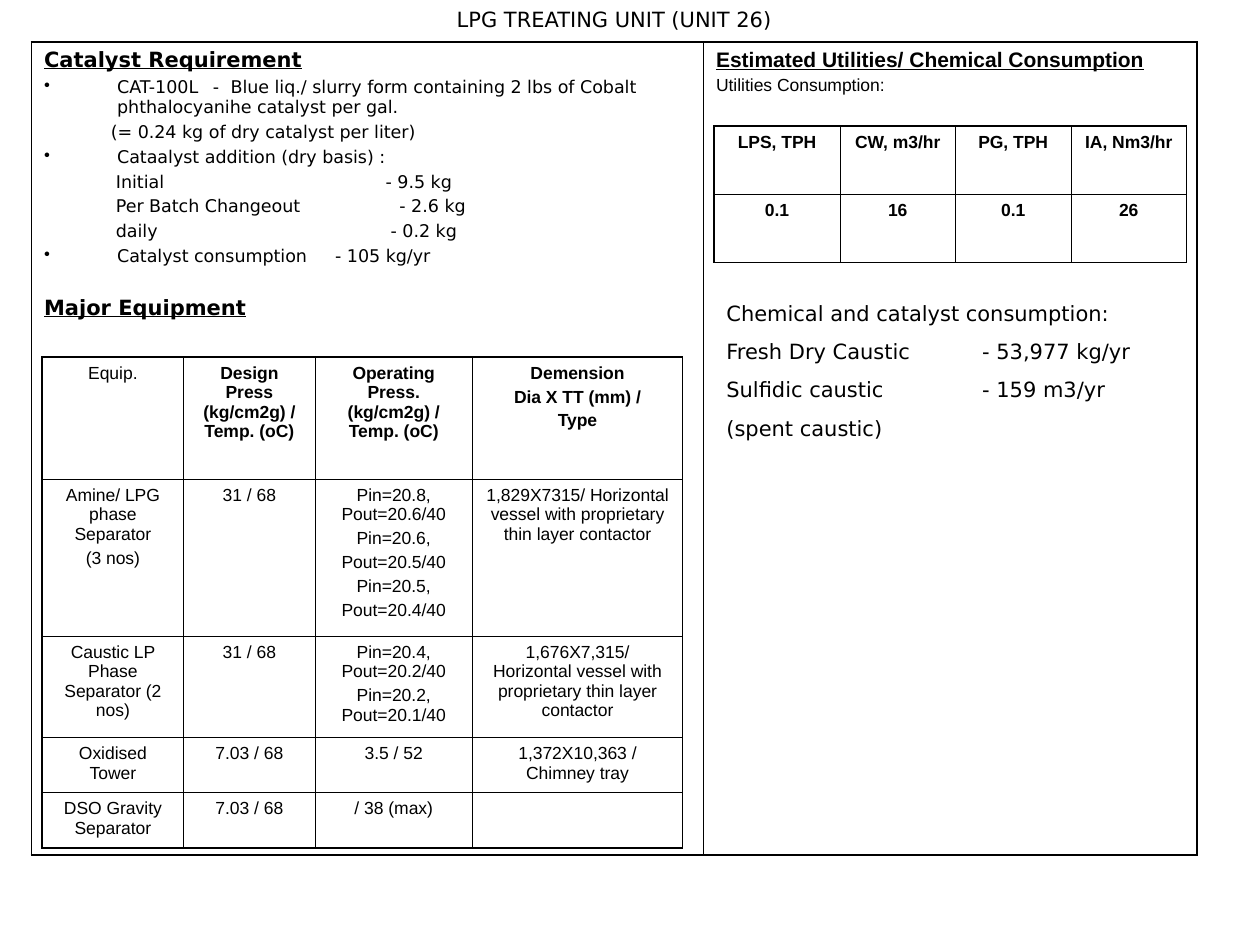
from lxml.etree import SubElement
from pptx import Presentation
from pptx.dml.color import RGBColor
from pptx.enum.text import MSO_ANCHOR, MSO_AUTO_SIZE, PP_ALIGN
from pptx.oxml.ns import qn
from pptx.util import Inches, Pt

COLORS = {"ink": "000000"}
SANS, ARIAL = "DejaVu Sans", "Arial"
THIN, THICK = 0.45, 1.08
HANG = 0.58  # hanging indent of the bullets, inches
HEADING = dict(size=12, bold=True, underline=True)


def grid(n):
    """Twelve grid units to the inch, across and down."""
    return Inches(n / 12)


def write(p, text, size=10, font=SANS, bold=False, underline=False, align=PP_ALIGN.LEFT,
          before=0, left=0, bullet=False, tabs=()):
    p.text = text
    p.alignment = align
    p.space_before = Pt(before)
    pPr = p._p.get_or_add_pPr()
    pPr.set("marL", str(Inches(left)))
    if bullet:
        pPr.set("indent", str(-Inches(left)))
        SubElement(SubElement(pPr, qn("a:buClr")), qn("a:srgbClr"), val=COLORS["ink"])
        SubElement(pPr, qn("a:buChar"), char="•")
    if tabs:
        tab_list = SubElement(pPr, qn("a:tabLst"))
        for pos in tabs:
            SubElement(tab_list, qn("a:tab"), pos=str(Inches(pos)), algn="l")
    for r in p.runs:
        r.font.size, r.font.name = Pt(size), font
        r.font.bold, r.font.underline = bold, underline
        r.font.color.rgb = RGBColor.from_string(COLORS["ink"])


def write_all(tf, items, before=2.5, **style):
    """Each item is a text, or a text with its own style."""
    for i, item in enumerate(items):
        text, own = (item, {}) if isinstance(item, str) else item
        p = tf.add_paragraph() if i else tf.paragraphs[0]
        write(p, text, **{**style, "before": before if i else 0, **own})


def set_margins(tf):
    tf.margin_left = tf.margin_right = Inches(0.1)
    tf.margin_top = tf.margin_bottom = Inches(0.05)
    tf.word_wrap = True


def add_grid_table(slide, x, y, cols, rows):
    """Unfilled table: thick outer frame, thin inner rules."""
    table = slide.shapes.add_table(len(rows), len(cols), grid(x), grid(y),
                                   grid(sum(cols)), grid(sum(rows))).table
    table.first_row = table.horz_banding = False
    for column, width in zip(table.columns, cols):
        column.width = grid(width)
    for i, height in enumerate(rows):
        table.rows[i].height = grid(height)
        for j in range(len(cols)):
            cell = table.cell(i, j)
            tcPr = cell._tc.get_or_add_tcPr()
            edges = {"lnL": j == 0, "lnR": j == len(cols) - 1,
                     "lnT": i == 0, "lnB": i == len(rows) - 1}
            for tag, outer in edges.items():
                ln = SubElement(tcPr, qn("a:" + tag), w=str(Pt(THICK if outer else THIN)))
                fill = SubElement(ln, qn("a:solidFill"))
                SubElement(fill, qn("a:srgbClr"), val=COLORS["ink"])
            cell.fill.background()
    return table


def add_title(slide, x, y, w, h):
    sp = slide.shapes.title
    sp.left, sp.top, sp.width, sp.height = map(grid, (x, y, w, h))
    tf = sp.text_frame
    set_margins(tf)
    tf.auto_size = MSO_AUTO_SIZE.NONE
    tf.vertical_anchor = MSO_ANCHOR.TOP
    write(tf.paragraphs[0], "LPG TREATING UNIT (UNIT 26)", size=12, align=PP_ALIGN.CENTER)


def add_panels(slide, x, y, cols, height):
    table = add_grid_table(slide, x, y, cols, [height])
    bullet = dict(left=HANG, bullet=True)
    write_all(table.cell(0, 0).text_frame, [
        ("Catalyst Requirement", HEADING),
        ("CAT-100L\t-\tBlue liq./ slurry form containing 2 lbs of Cobalt "
         "phthalocyanihe catalyst per gal.", dict(bullet, tabs=(1.34, 1.48))),
        ("(= 0.24 kg of dry catalyst per liter)", dict(left=0.53)),
        ("Cataalyst addition (dry basis) :", bullet),
        ("Initial\t- 9.5 kg", dict(left=0.57, tabs=[2.14])),
        ("Per Batch Changeout\t- 2.6 kg", dict(left=0.57, tabs=[2.25])),
        ("daily\t- 0.2 kg", dict(left=0.57, tabs=[2.18])),
        ("Catalyst consumption\t- 105 kg/yr", dict(bullet, tabs=[2.31])),
        ("Major Equipment", dict(HEADING, before=17)),
    ])
    write_all(table.cell(0, 1).text_frame, [
        ("Estimated Utilities/ Chemical Consumption", HEADING),
        "Utilities Consumption:",
    ], font=ARIAL)


def fill_cells(table, data, is_bold):
    for i, row in enumerate(data):
        for j, text in enumerate(row):
            write_all(table.cell(i, j).text_frame, text.split("\n"), font=ARIAL,
                      align=PP_ALIGN.CENTER, bold=is_bold(i, j))


def add_equipment(slide, x, y):
    table = add_grid_table(slide, x, y, [13.5, 12.5, 15, 20], [11.65, 14.95, 9.65, 5.25, 5.25])
    fill_cells(table, [
        ["Equip.", "Design Press (kg/cm2g) / Temp. (oC)",
         "Operating Press. (kg/cm2g) / Temp. (oC)", "Demension\nDia X TT (mm) /\nType"],
        ["Amine/ LPG phase Separator\n(3 nos)", "31 / 68",
         "Pin=20.8, Pout=20.6/40\nPin=20.6,\nPout=20.5/40\nPin=20.5,\nPout=20.4/40",
         "1,829X7315/ Horizontal vessel with proprietary thin layer contactor"],
        ["Caustic LP Phase Separator (2 nos)", "31 / 68",
         "Pin=20.4, Pout=20.2/40\nPin=20.2, Pout=20.1/40",
         "1,676X7,315/ Horizontal vessel with proprietary thin layer contactor"],
        ["Oxidised Tower", "7.03 / 68", "3.5 / 52", "1,372X10,363 / Chimney tray"],
        ["DSO Gravity Separator", "7.03 / 68", "/ 38 (max)", ""],
    ], lambda i, j: i == 0 and j > 0)


def add_utilities(slide, x, y):
    table = add_grid_table(slide, x, y, [12, 11, 11, 11], [6.5, 6.5])
    fill_cells(table, [["LPS, TPH", "CW, m3/hr", "PG, TPH", "IA, Nm3/hr"],
                       ["0.1", "16", "0.1", "26"]], lambda i, j: True)


def add_chemicals(slide, x, y, w, h):
    tf = slide.shapes.add_textbox(*map(grid, (x, y, w, h))).text_frame
    set_margins(tf)
    write_all(tf, [
        "Chemical and catalyst consumption:",
        "Fresh Dry Caustic\t- 53,977 kg/yr",
        "Sulfidic caustic\t- 159 m3/yr",
        "(spent caustic)",
    ], size=12, before=7.5, tabs=[2.03])


def main():
    prs = Presentation()
    prs.slide_width, prs.slide_height = grid(120), grid(90)
    slide = prs.slides.add_slide(prs.slide_layouts[5])
    add_title(slide, 4, 0, 109, 3.6)
    add_panels(slide, 3, 4, [64, 47], 77.4)
    add_equipment(slide, 4, 34)
    add_utilities(slide, 68, 12)
    add_chemicals(slide, 68, 28, 44, 14.6)
    prs.save("out.pptx")


if __name__ == "__main__":
    main()
